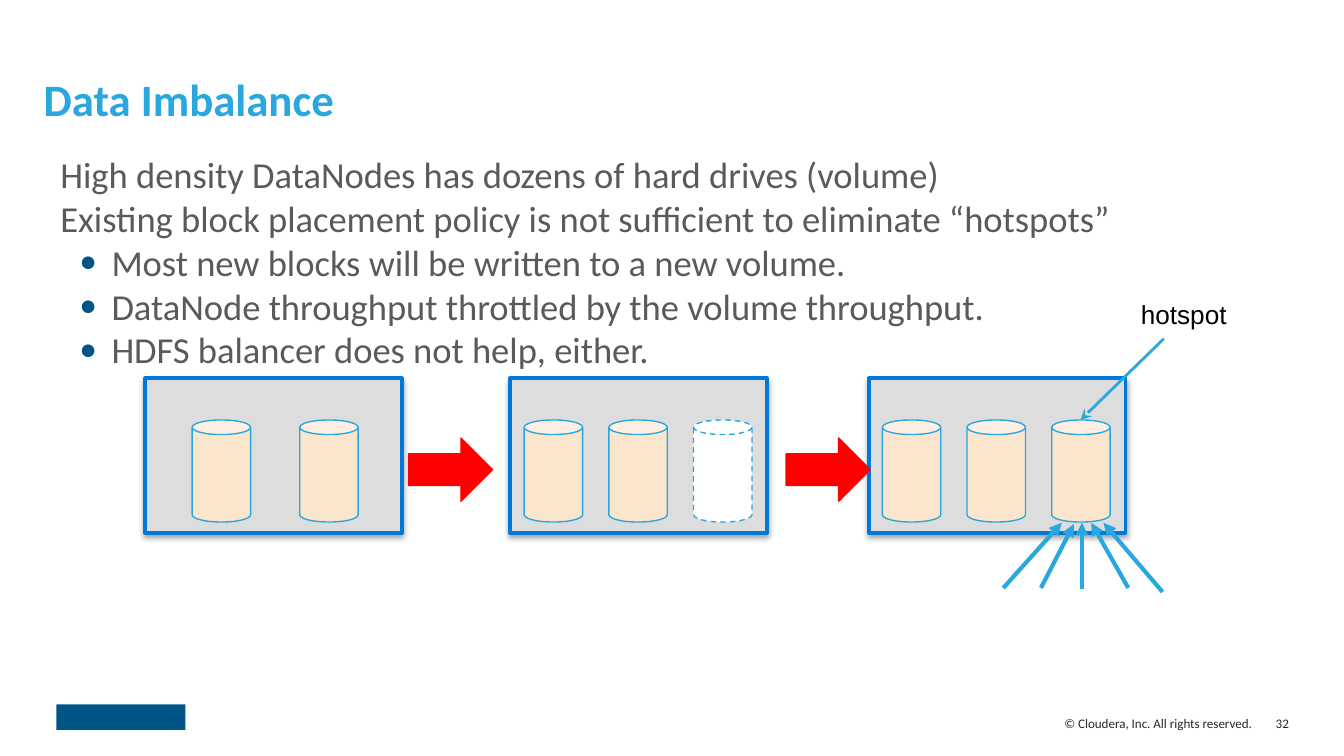
from lxml import etree
from pptx import Presentation
from pptx.dml.color import RGBColor
from pptx.enum.dml import MSO_LINE
from pptx.enum.shapes import MSO_CONNECTOR, MSO_SHAPE
from pptx.enum.text import MSO_ANCHOR, PP_ALIGN
from pptx.oxml.ns import qn
from pptx.util import Inches, Pt

RECTANGLE, CAN, RIGHT_ARROW = MSO_SHAPE.RECTANGLE, MSO_SHAPE.CAN, MSO_SHAPE.RIGHT_ARROW
STRAIGHT, DASH = MSO_CONNECTOR.STRAIGHT, MSO_LINE.DASH
TOP, MIDDLE, BOTTOM = MSO_ANCHOR.TOP, MSO_ANCHOR.MIDDLE, MSO_ANCHOR.BOTTOM
LEFT, RIGHT = PP_ALIGN.LEFT, PP_ALIGN.RIGHT

COLORS = {
    "sky": "29A7DE", "navy": "005586", "border": "0078D9", "node": "DDDDDD",
    "drive": "FCE5CD", "white": "FFFFFF", "red": "FF0000",
    "body": "595B59", "footer": "282828", "black": "000000",
}
CELL = 0.1


def grid(cells):
    return Inches(cells * CELL)


class SlideBuilder:
    def __init__(self, slide, font="Calibri"):
        self.slide = slide
        self.font = font

    def color(self, name):
        return RGBColor.from_string(COLORS[name])

    def shape(self, kind, box, fill, line=None, weight=0.75, dash=None):
        shape = self.slide.shapes.add_shape(kind, *map(grid, box))
        shape.shadow.inherit = False
        shape.fill.solid()
        shape.fill.fore_color.rgb = self.color(fill)
        if line is None:
            shape.line.fill.background()
        else:
            shape.line.color.rgb = self.color(line)
            shape.line.width = Pt(weight)
            if dash:
                shape.line.dash_style = dash
        return shape

    def node(self, left):
        node = self.shape(RECTANGLE, (left, 28.15, 19.1, 11.5), "node", "border", 2)
        effects = node._element.spPr.find(qn("a:effectLst"))
        shadow = etree.SubElement(effects, qn("a:outerShdw"), blurRad=str(Pt(3)),
                                  dist=str(Pt(1.8)), dir="5400000", rotWithShape="0")
        tint = etree.SubElement(shadow, qn("a:srgbClr"), val=COLORS["black"])
        etree.SubElement(tint, qn("a:alpha"), val="35000")

    def drive(self, left, empty=False):
        self.shape(CAN, (left, 31.25, 4.35, 7.6), "white" if empty else "drive",
                   "sky", dash=DASH if empty else None)

    def step(self, left):
        self.shape(RIGHT_ARROW, (left, 32.6, 6.25, 4.7), "red", "red")

    def arrow(self, start, end, weight, end_tag, head):
        line = self.slide.shapes.add_connector(STRAIGHT, *map(grid, start + end))
        line.line.color.rgb = self.color("sky")
        line.line.width = Pt(weight)
        etree.SubElement(line.line._get_or_add_ln(), qn(end_tag), type=head)
        etree.SubElement(line._element.spPr, qn("a:effectLst"))

    def text(self, box, lines, size, color, inset=0.0, anchor=TOP, align=LEFT,
             font=None, bold=False, wrap=True, spacing=None):
        frame = self.slide.shapes.add_textbox(*map(grid, box)).text_frame
        frame.word_wrap = wrap
        frame.vertical_anchor = anchor
        frame.margin_left = frame.margin_right = grid(inset)
        frame.margin_top = frame.margin_bottom = grid(inset)
        frame.text = "\n".join(lines)
        for paragraph in frame.paragraphs:
            paragraph.alignment = align
            if spacing:
                paragraph.line_spacing = spacing
            for run in paragraph.runs:
                run.font.name = font or self.font
                run.font.size = Pt(size)
                run.font.bold = bold
                run.font.color.rgb = self.color(color)
        return frame.paragraphs

    def indent(self, paragraph, margin, first, bullet=None):
        properties = paragraph._p.get_or_add_pPr()
        properties.set("marL", str(grid(margin)))
        properties.set("indent", str(grid(first)))
        if bullet:
            tint = etree.SubElement(properties, qn("a:buClr"))
            etree.SubElement(tint, qn("a:srgbClr"), val=COLORS["navy"])
            etree.SubElement(properties, qn("a:buSzPct"), val="80000")
            etree.SubElement(properties, qn("a:buFont"), typeface="Arial")
            etree.SubElement(properties, qn("a:buChar"), char=bullet)


def main():
    deck = Presentation()
    deck.slide_width, deck.slide_height = grid(100), grid(100) * 9 // 16
    page = SlideBuilder(deck.slides.add_slide(deck.slide_layouts[6]))

    page.shape(RECTANGLE, (4.2, 52.4, 9.6, 1.9), "navy")
    page.text((61.5, 53.15, 31.65, 1.4), ["© Cloudera, Inc. All rights reserved."],
              7, "footer", anchor=MIDDLE, align=RIGHT)
    page.text((94.5, 53.15, 1.4, 1.4), ["32"], 7, "footer",
              anchor=MIDDLE, align=RIGHT, wrap=False)

    statements = [
        "High density DataNodes has dozens of hard drives (volume)",
        "Existing block placement policy is not sufficient to eliminate “hotspots”",
    ]
    consequences = [
        "Most new blocks will be written to a new volume.",
        "DataNode throughput throttled by the volume throughput.",
        "HDFS balancer does not help, either.",
    ]
    body = page.text((2.65, 10.55, 93.4, 16.8), statements + consequences,
                     19.6, "body", inset=0.75)
    for position, paragraph in enumerate(body):
        if position < len(statements):
            page.indent(paragraph, 0.3, 0.8)
        else:
            page.indent(paragraph, 4.9, -2.4, "●")
    page.text((2.55, 1.7, 96, 8.3), ["Data Imbalance"], 24, "sky", inset=0.7,
              anchor=BOTTOM, bold=True, spacing=0.8)

    stages = [
        (10.8, 14.3, 8, [False, False], None),
        (37.95, 39, 6.3, [False, False, True], 30.4),
        (64.65, 65.65, 6.3, [False, False, False], 58.5),
    ]
    for node_left, first_drive, pitch, drives, step_left in stages:
        page.node(node_left)
        for position, empty in enumerate(drives):
            page.drive(first_drive + position * pitch, empty)
        if step_left is not None:
            page.step(step_left)

    writes = [
        ((79, 38.9), (74.65, 43.75)),
        ((80.5, 38.9), (80.5, 43.85)),
        ((82.1, 38.9), (86.5, 44.05)),
        ((79.9, 39), (77.45, 43.75)),
        ((81.2, 38.9), (83.95, 43.75)),
    ]
    for drive_end, source in writes:
        page.arrow(drive_end, source, 2.25, "a:headEnd", "triangle")
    page.arrow((86.6, 25.2), (80.4, 31.25), 1.5, "a:tailEnd", "stealth")
    page.text((83.9, 21.2, 13, 4.2), ["hotspot"], 14, "black", inset=1, font="Arial")

    deck.save("out.pptx")


if __name__ == "__main__":
    main()
